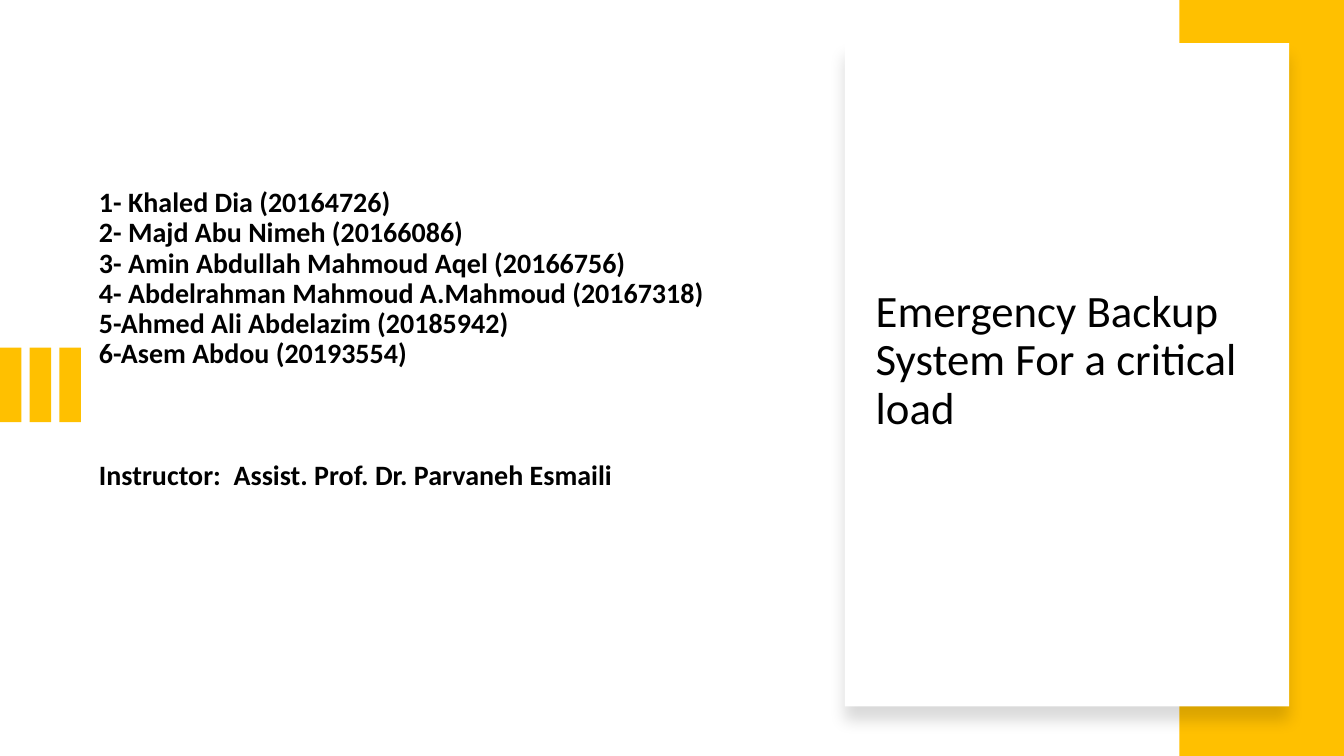
"""Build the title slide of the emergency backup system project."""
import dataclasses

import pptx
import pptx.dml.color
import pptx.enum.shapes
import pptx.enum.text
import pptx.oxml
import pptx.oxml.ns
import pptx.util
from pptx.util import Cm


@dataclasses.dataclass(frozen=True)
class Theme:
    font: str = "Calibri"
    accent: str = "FFC000"
    paper: str = "FFFFFF"
    ink: str = "000000"
    names_size: int = 20
    topic_size: int = 32


THEME = Theme()
MEMBERS = [
    "1- Khaled Dia (20164726)",
    "2- Majd Abu Nimeh (20166086)",
    "3- Amin Abdullah Mahmoud Aqel (20166756)",
    "4- Abdelrahman Mahmoud A.Mahmoud (20167318)",
    "5-Ahmed Ali Abdelazim (20185942)",
    "6-Asem Abdou (20193554)",
]
INSTRUCTOR = "Instructor:  Assist. Prof. Dr. Parvaneh Esmaili"
TOPIC = "Emergency Backup System For a critical load"


def add_block(shapes, left, top, width, height, color):
    shape = shapes.add_shape(
        pptx.enum.shapes.MSO_SHAPE.RECTANGLE, Cm(left), Cm(top), Cm(width), Cm(height)
    )
    shape.shadow.inherit = False
    shape.fill.solid()
    shape.fill.fore_color.rgb = pptx.dml.color.RGBColor.from_string(color)
    shape.line.fill.background()
    return shape


def add_soft_shadow(shape):
    effects = shape._element.spPr.find(pptx.oxml.ns.qn("a:effectLst"))
    effects.append(pptx.oxml.parse_xml(
        f'<a:outerShdw {pptx.oxml.ns.nsdecls("a")} blurRad="139700" dist="127000" '
        f'dir="5400000" algn="t" rotWithShape="0"><a:srgbClr val="{THEME.ink}">'
        '<a:alpha val="15000"/></a:srgbClr></a:outerShdw>'
    ))


def prepare_frame(shape, anchor):
    frame = shape.text_frame
    frame.word_wrap = True
    frame.auto_size = pptx.enum.text.MSO_AUTO_SIZE.NONE
    frame.vertical_anchor = anchor
    return frame


def write_line(paragraph, text, size, bold=False, space_before=0):
    paragraph.alignment = pptx.enum.text.PP_ALIGN.LEFT
    paragraph.line_spacing = 0.9
    paragraph.space_before = pptx.util.Pt(space_before)
    run = paragraph.add_run()
    run.text = text
    run.font.name = THEME.font
    run.font.size = pptx.util.Pt(size)
    run.font.bold = bold
    run.font.color.rgb = pptx.dml.color.RGBColor.from_string(THEME.ink)


def fill_title(title):
    title.left, title.top, title.width, title.height = Cm(2.24), Cm(3.18), Cm(18.9), Cm(13.08)
    frame = prepare_frame(title, pptx.enum.text.MSO_ANCHOR.TOP)
    frame.margin_top = Cm(1.57)
    for index, member in enumerate(MEMBERS):
        paragraph = frame.add_paragraph() if index else frame.paragraphs[0]
        write_line(paragraph, member, THEME.names_size, bold=True)
    write_line(frame.add_paragraph(), INSTRUCTOR, THEME.names_size, bold=True, space_before=65)


def add_topic(shapes):
    box = shapes.add_textbox(Cm(21.82), Cm(3.43), Cm(10.13), Cm(11.35))
    frame = prepare_frame(box, pptx.enum.text.MSO_ANCHOR.MIDDLE)
    write_line(frame.paragraphs[0], TOPIC, THEME.topic_size)


def main():
    presentation = pptx.Presentation()
    presentation.slide_width, presentation.slide_height = Cm(33.87), Cm(19.05)
    slide = presentation.slides.add_slide(presentation.slide_layouts[5])
    fill_title(slide.shapes.title)
    bars = slide.shapes.add_group_shape()
    for index in range(3):
        add_block(bars.shapes, index * 0.75, 8.76, 0.54, 1.88, THEME.accent)
    add_block(slide.shapes, 29.72, 0, 4.15, 19.05, THEME.accent)
    card = add_block(slide.shapes, 21.29, 1.09, 11.2, 16.71, THEME.paper)
    add_soft_shadow(card)
    add_topic(slide.shapes)
    presentation.save("out.pptx")


if __name__ == "__main__":
    main()
